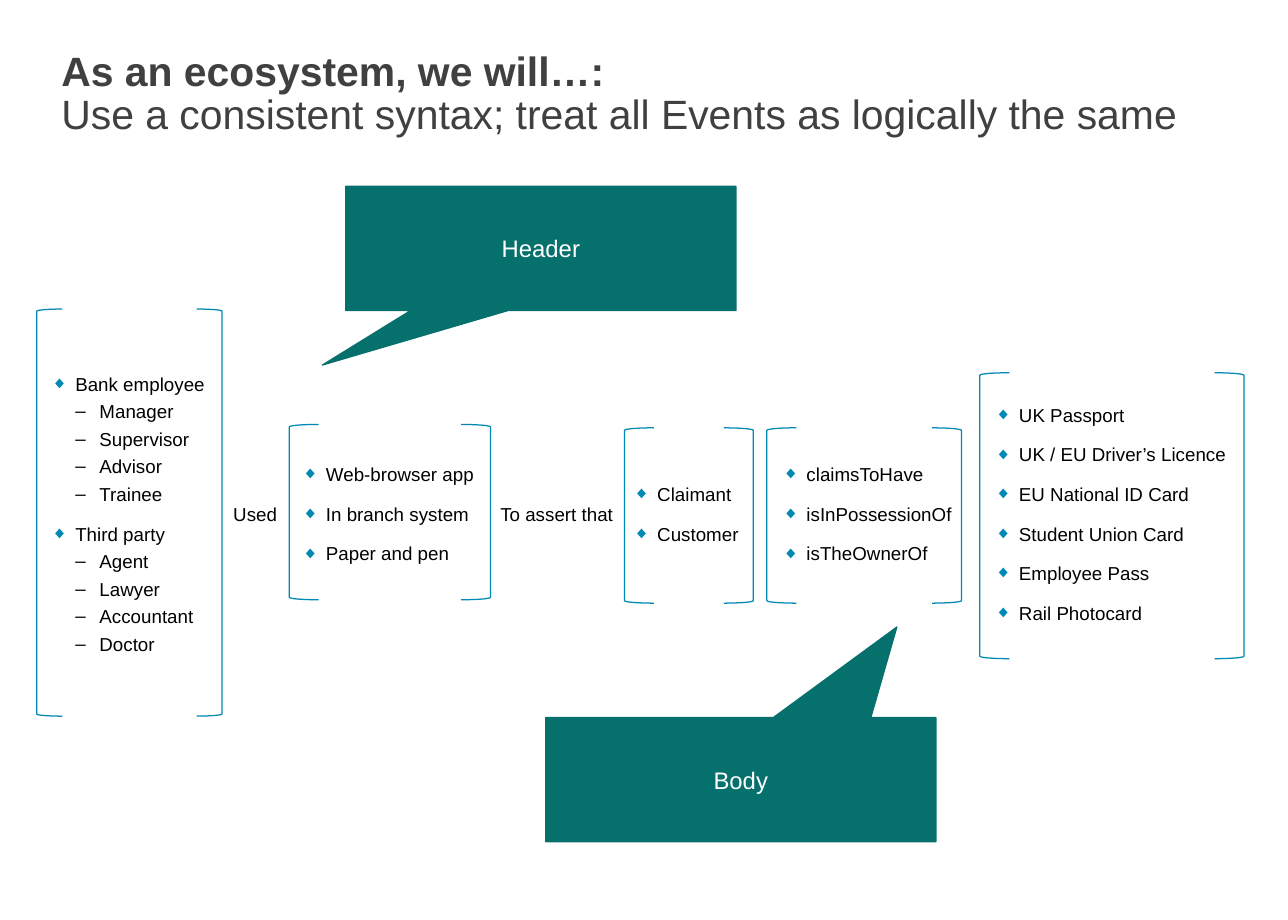
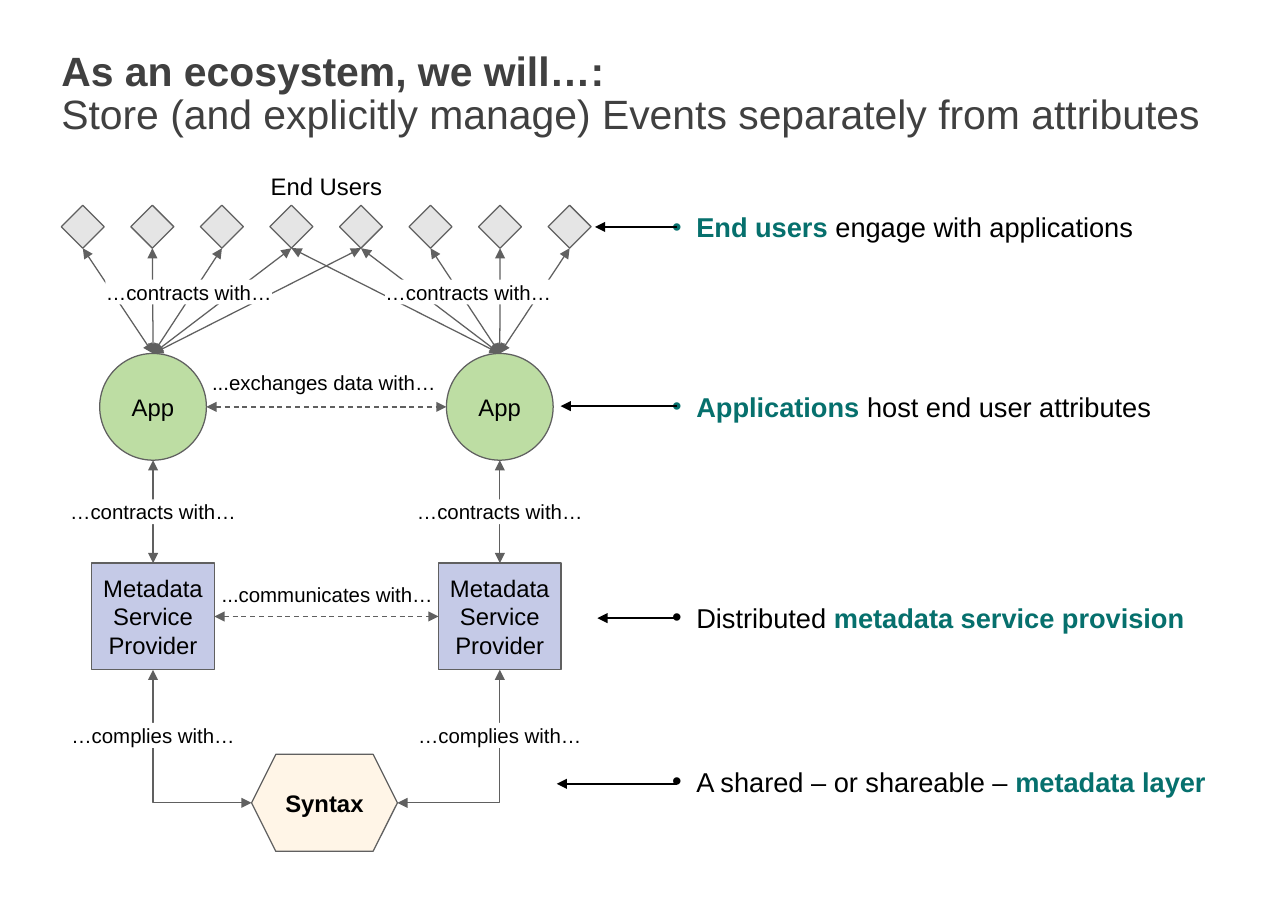
from dataclasses import dataclass
from typing import NamedTuple, Optional

from pptx import Presentation
from pptx.dml.color import RGBColor
from pptx.enum import dml, shapes, text
from pptx.oxml import ns, xmlchemy
from pptx.util import Cm, Pt

FONT = "Arial"
BLACK, WHITE, CHARCOAL, GREY = "000000", "FFFFFF", "404040", "606060"
TEAL, BLUE = "06706D", "008AB3"
GREEN, LILAC, CREAM, SILVER = "BDDDA3", "C5CAE7", "FFF5E7", "E5E5E5"
SHAPE = shapes.MSO_SHAPE
CENTER = text.PP_ALIGN.CENTER


class Run(NamedTuple):
    wording: str
    color: str = BLACK
    bold: bool = False


class Bullet(NamedTuple):
    character: str
    level: int = 0
    before: float = 0
    color: Optional[str] = None
    percent: int = 100


DIAMOND = Bullet("◆", before=10, color=BLUE, percent=90)
DASH = Bullet("–", level=1, before=3)
DOT = Bullet("•")


@dataclass
class BracketList:
    """A bulleted list between two brackets; lengths in cm."""
    left: float
    right: float
    top: float
    height: float
    bracket_width: float
    text_left: float
    items: list[tuple[str, Bullet]]


class Callout(NamedTuple):
    wording: str
    left: float
    top: float
    tip: tuple[float, float]


class Note(NamedTuple):
    runs: list[Run]
    y: float
    arrow_y: float
    arrow_tip: float


class Label(NamedTuple):
    wording: str
    center: float
    top: float
    width: float
    filled: bool = True
    size: float = 12


# Helpers
def rgb(color: str) -> RGBColor:
    return RGBColor.from_string(color)


def append_xml(parent, tag: str, **attributes: str):
    element = xmlchemy.OxmlElement(tag)
    for name, value in attributes.items():
        element.set(name, value)
    parent.append(element)
    return element


def add_text(frame, runs: list[Run], *, size: float, align=None, before: float = 0,
             spacing: Optional[float] = None, bullet: Optional[Bullet] = None) -> None:
    paragraph = frame.add_paragraph() if frame.text else frame.paragraphs[0]
    paragraph.alignment = align
    paragraph.line_spacing = spacing
    paragraph.space_before = Pt(bullet.before if bullet else before)
    for run_data in runs:
        run = paragraph.add_run()
        run.text = run_data.wording.rstrip("\n")
        run.font.name, run.font.size, run.font.bold = FONT, Pt(size), run_data.bold
        run.font.color.rgb = rgb(run_data.color)
        if run_data.wording.endswith("\n"):
            paragraph.add_line_break()
    if bullet:
        paragraph.level = bullet.level
        properties = paragraph._p.get_or_add_pPr()
        properties.set("marL", str(Cm(0.5 * (bullet.level + 1))))
        properties.set("indent", str(-Cm(0.5)))
        if bullet.color:
            append_xml(append_xml(properties, "a:buClr"), "a:srgbClr", val=bullet.color)
        append_xml(properties, "a:buSzPct", val=str(bullet.percent * 1000))
        append_xml(properties, "a:buFont", typeface=FONT)
        append_xml(properties, "a:buChar", char=bullet.character)


def prepare_frame(shape, inset: float = 0, anchor=text.MSO_ANCHOR.MIDDLE, wrap: bool = True):
    frame = shape.text_frame
    frame.word_wrap, frame.vertical_anchor = wrap, anchor
    frame.margin_left = frame.margin_right = Cm(inset)
    frame.margin_top = frame.margin_bottom = Cm(inset)
    return frame


def add_frame(slide, left: float, top: float, width: float, height: float, **options):
    box = slide.shapes.add_textbox(Cm(left), Cm(top), Cm(width), Cm(height))
    return prepare_frame(box, **options)


def add_shape(slide, kind, left: float, top: float, width: float, height: float, *,
              fill: Optional[str] = None, line: str = GREY):
    shape = slide.shapes.add_shape(kind, Cm(left), Cm(top), Cm(width), Cm(height))
    shape.shadow.inherit = False
    if fill:
        shape.fill.solid()
        shape.fill.fore_color.rgb = rgb(fill)
    else:
        shape.fill.background()
    shape.line.color.rgb = rgb(line)
    shape.line.width = Pt(0.75)
    return shape


def add_node(slide, kind, center: float, top: float, width: float, height: float,
             fill: str, wording: str, bold: bool = False):
    node = add_shape(slide, kind, center - width / 2, top, width, height, fill=fill)
    add_text(prepare_frame(node, 0.2), [Run(wording, bold=bold)], size=14, align=CENTER)
    return node


def add_link(slide, start: tuple[float, float], end: tuple[float, float], *,
             color: str = GREY, width: float = 0.75, dashed: bool = False,
             both_ends: bool = True, corner: bool = False):
    kind = shapes.MSO_CONNECTOR.ELBOW if corner else shapes.MSO_CONNECTOR.STRAIGHT
    link = slide.shapes.add_connector(kind, *(Cm(value) for value in (*start, *end)))
    link.line.color.rgb = rgb(color)
    link.line.width = Pt(width)
    if dashed:
        link.line.dash_style = dml.MSO_LINE.DASH
    properties = link._element.spPr
    if corner:
        properties.find(ns.qn("a:prstGeom")).set("prst", "bentConnector2")
    outline = link.line._get_or_add_ln()
    if both_ends:
        append_xml(outline, "a:headEnd", type="triangle")
    append_xml(outline, "a:tailEnd", type="triangle")
    append_xml(properties, "a:effectLst")
    return link


def add_titled_slide(presentation, subtitle: str):
    slide = presentation.slides.add_slide(presentation.slide_layouts[6])
    frame = add_frame(slide, 1.27, 1.07, 24.13, 2.11, anchor=text.MSO_ANCHOR.TOP)
    add_text(frame, [Run("As an ecosystem, we will…:\n", CHARCOAL, True),
                     Run(subtitle, CHARCOAL)], size=24, spacing=0.88)
    return slide


# Slide 1: event syntax
def bullets(*wordings: str, style: Bullet = DIAMOND) -> list[tuple[str, Bullet]]:
    return [(wording, style) for wording in wordings]


BRACKET_LISTS = [
    BracketList(0.76, 4.6, 6.4, 8.43, 0.53, 1.06,
                bullets("Bank employee")
                + bullets("Manager", "Supervisor", "Advisor", "Trainee", style=DASH)
                + bullets("Third party")
                + bullets("Agent", "Lawyer", "Accountant", "Doctor", style=DASH)),
    BracketList(5.99, 10.16, 8.79, 3.63, 0.61, 6.25,
                bullets("Web-browser app", "In branch system", "Paper and pen")),
    BracketList(12.93, 15.6, 8.86, 3.63, 0.61, 13.11, bullets("Claimant", "Customer")),
    BracketList(15.88, 19.91, 8.86, 3.63, 0.61, 16.2,
                bullets("claimsToHave", "isInPossessionOf", "isTheOwnerOf")),
    BracketList(20.29, 25.76, 7.72, 5.92, 0.61, 20.6,
                bullets("UK Passport", "UK / EU Driver’s Licence", "EU National ID Card",
                        "Student Union Card", "Employee Pass", "Rail Photocard")),
]
JOINING_WORDS = [("Used", 4.83), ("To assert that", 10.36)]
CALLOUTS = [Callout("Header", 7.16, 3.86, (-0.56, 0.94)),
            Callout("Body", 11.3, 14.86, (0.4, -1.23))]
ROW_TOP, ROW_HEIGHT = 5.56, 10.16


def build_syntax_slide(presentation) -> None:
    slide = add_titled_slide(
        presentation, "Use a consistent syntax; treat all Events as logically the same")
    for group in BRACKET_LISTS:
        frame = add_frame(slide, group.text_left, ROW_TOP, 5.46, ROW_HEIGHT)
        for wording, style in group.items:
            add_text(frame, [Run(wording)], size=11, bullet=style)
        for kind, left in ((SHAPE.LEFT_BRACKET, group.left),
                           (SHAPE.RIGHT_BRACKET, group.right - group.bracket_width)):
            add_shape(slide, kind, left, group.top, group.bracket_width, group.height,
                      line=BLUE)
    for wording, left in JOINING_WORDS:
        frame = add_frame(slide, left, ROW_TOP, 2.6, ROW_HEIGHT)
        add_text(frame, [Run(wording)], size=11, before=10)
    for callout in CALLOUTS:
        shape = add_shape(slide, SHAPE.RECTANGULAR_CALLOUT, callout.left, callout.top,
                          8.08, 2.57, fill=TEAL, line=TEAL)
        shape.adjustments[0], shape.adjustments[1] = callout.tip
        add_text(prepare_frame(shape, 0.2), [Run(callout.wording, WHITE)],
                 size=14, align=CENTER)


# Slide 2: ecosystem layers
COLUMNS = (3.17, 10.35)
USER_LEFT, USER_PITCH, USER_TOP, USER_SIZE = 1.27, 1.44, 4.25, 0.89
USERS_OF_APP = (range(0, 5), range(3, 8))
APP_TOP, APP_SIZE = 7.32, 2.21
PROVIDER_TOP, PROVIDER_WIDTH, PROVIDER_HEIGHT = 11.66, 2.54, 2.21
SYNTAX_CENTER, SYNTAX_TOP, SYNTAX_WIDTH, SYNTAX_HEIGHT = 6.72, 15.62, 3.02, 2.01

LABELS = [
    Label("End Users", 6.76, 3.56, 2.34, size=14),
    Label("…contracts with…", 3.91, 5.79, 3.45),
    Label("…contracts with…", 9.7, 5.79, 3.45),
    Label("...exchanges data with…", 6.71, 7.65, 4.67, filled=False),
    Label("...communicates with…", 6.78, 12.04, 4.57, filled=False),
    *(Label("…contracts with…", column, 10.34, 3.45) for column in COLUMNS),
    *(Label("…complies with…", column, 14.97, 3.4) for column in COLUMNS),
]
NOTES = [
    Note([Run("End users ", TEAL, True), Run("engage with applications")], 4.7, 4.7, 12.32),
    Note([Run("Applications ", TEAL, True), Run("host end user attributes")],
         8.41, 8.41, 11.61),
    Note([Run("Distributed "), Run("metadata service provision", TEAL, True)],
         12.78, 12.8, 12.37),
    Note([Run("A shared – or shareable – "), Run("metadata layer", TEAL, True)],
         16.18, 16.23, 11.53),
]


def build_layers_slide(presentation) -> None:
    slide = add_titled_slide(
        presentation, "Store (and explicitly manage) Events separately from attributes")

    # Nodes
    users = [add_shape(slide, SHAPE.DIAMOND, USER_LEFT + index * USER_PITCH, USER_TOP,
                       USER_SIZE, USER_SIZE, fill=SILVER) for index in range(8)]
    apps = [add_node(slide, SHAPE.OVAL, column, APP_TOP, APP_SIZE, APP_SIZE, GREEN, "App")
            for column in COLUMNS]
    providers = [add_node(slide, SHAPE.RECTANGLE, column, PROVIDER_TOP, PROVIDER_WIDTH,
                          PROVIDER_HEIGHT, LILAC, "Metadata Service Provider")
                 for column in COLUMNS]
    add_node(slide, SHAPE.HEXAGON, SYNTAX_CENTER, SYNTAX_TOP, SYNTAX_WIDTH, SYNTAX_HEIGHT,
             CREAM, "Syntax", bold=True)

    # Links within each column
    syntax_y = SYNTAX_TOP + SYNTAX_HEIGHT / 2
    for column, app, provider, app_users, side in zip(
            COLUMNS, apps, providers, USERS_OF_APP, (-1, 1)):
        for index in app_users:
            link = add_link(slide, (column, APP_TOP), (column, USER_TOP))
            link.begin_connect(app, 0)
            link.end_connect(users[index], 2)
        link = add_link(slide, (column, PROVIDER_TOP), (column, APP_TOP + APP_SIZE))
        link.begin_connect(provider, 0)
        add_link(slide, (SYNTAX_CENTER + side * SYNTAX_WIDTH / 2, syntax_y),
                 (column, PROVIDER_TOP + PROVIDER_HEIGHT), corner=True)

    # Links between the columns
    app_y, provider_y = APP_TOP + APP_SIZE / 2, PROVIDER_TOP + PROVIDER_HEIGHT / 2
    add_link(slide, (COLUMNS[0] + APP_SIZE / 2, app_y),
             (COLUMNS[1] - APP_SIZE / 2, app_y), dashed=True)
    link = add_link(slide, (COLUMNS[0], provider_y), (COLUMNS[1], provider_y), dashed=True)
    link.begin_connect(providers[0], 3)
    link.end_connect(providers[1], 1)

    # Labels over the links
    for label in LABELS:
        box = slide.shapes.add_textbox(Cm(label.center - label.width / 2), Cm(label.top),
                                       Cm(label.width), Cm(label.size * 0.043))
        if label.filled:
            box.fill.solid()
            box.fill.fore_color.rgb = rgb(WHITE)
        add_text(prepare_frame(box, wrap=False), [Run(label.wording)],
                 size=label.size, align=CENTER)

    # Notes with their arrows
    for note in NOTES:
        frame = add_frame(slide, 13.92, note.y - 0.5, 11.74, 1)
        add_text(frame, note.runs, size=16, bullet=DOT)
        add_link(slide, (14.02, note.arrow_y), (note.arrow_tip, note.arrow_y),
                 color=BLACK, width=1.5, both_ends=False)


def main() -> None:
    presentation = Presentation()
    presentation.slide_width, presentation.slide_height = Cm(26.67), Cm(19.05)
    build_syntax_slide(presentation)
    build_layers_slide(presentation)
    presentation.save("out.pptx")


if __name__ == "__main__":
    main()
